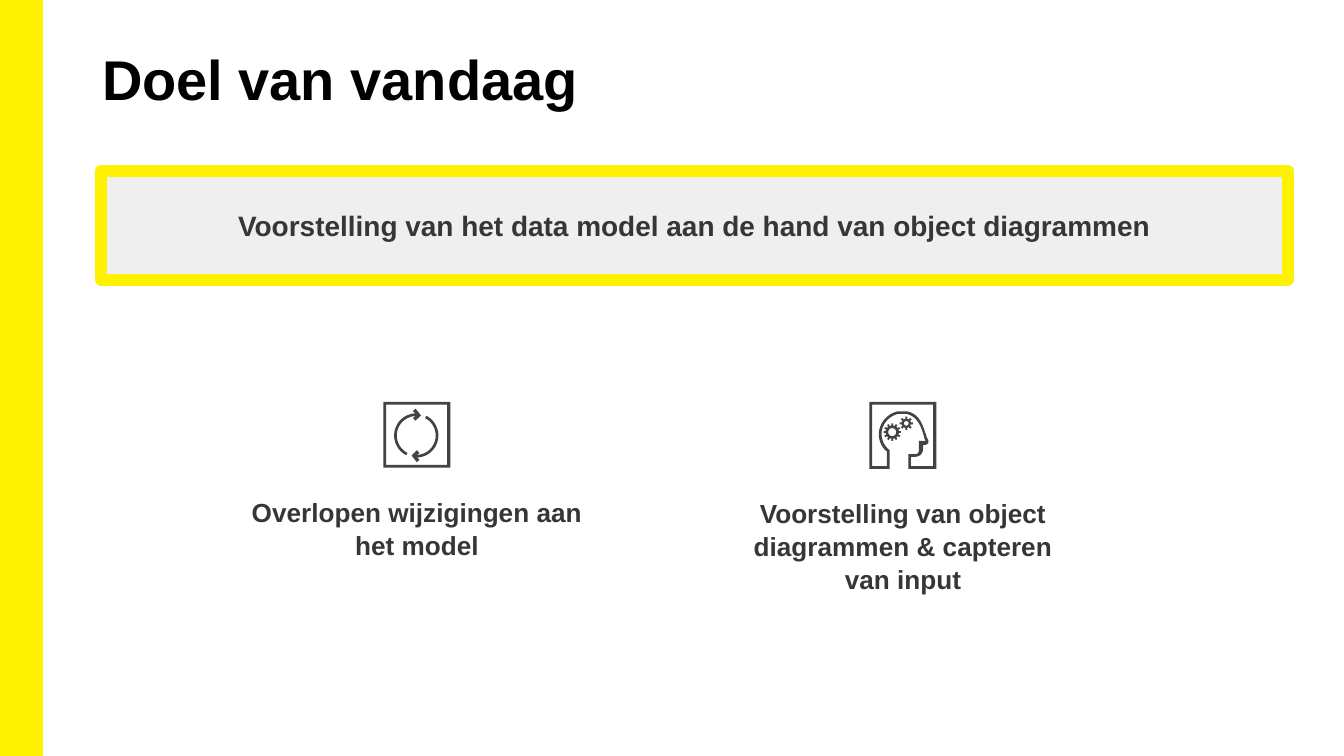
import math

import pptx
import pptx.dml.color
import pptx.enum.shapes
import pptx.enum.text
import pptx.util

ALIGN = pptx.enum.text.PP_ALIGN
ANCHOR = pptx.enum.text.MSO_ANCHOR
RECT = pptx.enum.shapes.MSO_SHAPE.RECTANGLE
PX = 914400 / 134.4

THEME = {
    "font": "Arial",
    "black": "000000", "text": "373636", "icon": "434343",
    "yellow": "FFF200", "panel": "EFEFEF",
    "title": 30, "goal": 15, "caption": 14,
}

# Boxes are left, top, width, height in px
SLIDE = (1344, 756)
SIDEBAR = (0, 0, 42, 756)
TITLE = ("Doel van vandaag", (93, 40, 1159, 109))
GOAL = ("Voorstelling van het data model aan de hand van object diagrammen",
        (101, 171, 1187, 109))
TOPICS = [
    {"text": "Overlopen wijzigingen aan het model",
     "box": (234, 488, 366, 172), "icon": "cycle"},
    {"text": "Voorstelling van object diagrammen & capteren van input",
     "box": (715, 489, 376, 172), "icon": "head"},
]
ICON_TOP, ICON_SIZE = 402, 67

# Icon outlines on a 100-unit grid: pairs are corners, sixes are Bézier curves
ARROW_HEAD = [(44, 24), (48, 28), (56, 20), (48, 10), (44, 14), (48, 17)]
FRAME = [[(0, 0), (0, 98), (100, 98), (100, 0)],
         [(4, 4), (95, 4), (95, 94), (4, 94)]]
HEAD = [
    [(0, 0), (0, 100), (30, 100), (30, 72), (22, 66, 18, 56, 18, 48),
     (18, 34, 28, 22, 42, 18), (42, 18, 44, 18, 48, 18),
     (54, 18, 56, 18, 56, 18), (72, 22, 78, 38, 82, 54),
     (82, 56, 84, 58, 84, 58), (74, 58), (74, 70), (74, 76, 72, 78, 68, 78),
     (58, 78), (58, 100), (100, 100), (100, 0)],
    [(95, 96), (62, 96), (62, 82), (68, 82), (74, 82, 80, 78, 80, 70),
     (80, 64), (84, 64), (86, 64, 86, 62, 88, 62), (88, 60, 88, 60, 88, 58),
     (88, 56, 86, 54, 86, 54), (80, 36, 76, 18, 56, 14),
     (56, 14, 54, 14, 50, 14), (46, 14, 42, 14, 42, 14),
     (26, 18, 14, 32, 14, 48), (14, 58, 18, 68, 26, 74),
     (26, 96), (4, 96), (4, 4), (95, 4)],
]


def px(n):
    return round(n * PX)


def rgb(name):
    return pptx.dml.color.RGBColor.from_string(THEME[name])


def flatten(outline, steps=8):
    """Replace each Bézier curve by points along it."""
    points = []
    for part in outline:
        if len(part) == 2:
            points.append(part)
            continue
        knots = [points[-1], part[:2], part[2:4], part[4:]]
        for i in range(1, steps + 1):
            t = i / steps
            weights = [math.comb(3, k) * t ** k * (1 - t) ** (3 - k)
                       for k in range(4)]
            points.append(tuple(sum(w * q[axis] for w, q in zip(weights, knots))
                                for axis in (0, 1)))
    return points


def arc(cx, cy, r, start, end, steps=32):
    angles = [math.radians(start + (end - start) * i / steps)
              for i in range(steps + 1)]
    return [(cx + r * math.cos(a), cy + r * math.sin(a)) for a in angles]


def gear(cx, cy, teeth, outer, root, hole):
    pitch = 360 / teeth
    rim = []
    for i in range(teeth):
        mid = i * pitch
        for r, offset in ((root, -0.25), (outer, -0.2), (outer, 0.2), (root, 0.25)):
            rim += arc(cx, cy, r, mid + offset * pitch, 0, 1)[:1]
    return [rim, arc(cx, cy, hole, 0, 360)]


def cycle_icon():
    left = arc(49, 50, 29, 117, 268) + ARROW_HEAD + arc(49, 50, 33, 268, 117)
    right = [(98 - x, 100 - y) for x, y in left]
    return [FRAME, [left], [right]]


def head_icon():
    return [HEAD, gear(34, 45, 12, 13, 10, 6), gear(55, 32, 8, 10, 7, 3.5)]


def paint(sp, fill, line=None, width=1):
    sp.shadow.inherit = False
    sp.fill.solid()
    sp.fill.fore_color.rgb = rgb(fill)
    if line:
        sp.line.color.rgb = rgb(line)
        sp.line.width = pptx.util.Pt(width)
    else:
        sp.line.fill.background()


def add_icon(s, left, top, parts):
    group = s.shapes.add_group_shape()
    unit = px(ICON_SIZE) / 100
    for outlines in parts:
        contours = [[(x * unit, y * unit) for x, y in flatten(o)] for o in outlines]
        builder = group.shapes.build_freeform(*contours[0][0])
        builder.add_line_segments(contours[0][1:])
        for contour in contours[1:]:
            builder.move_to(*contour[0])
            builder.add_line_segments(contour[1:])
        paint(builder.convert_to_shape(px(left), px(top)), "icon")


def write(sp, text, size, color="text", align=ALIGN.CENTER, anchor=ANCHOR.TOP,
          inset=(13, 7), spacing=1.0):
    tf = sp.text_frame
    side, edge = map(px, inset)
    frame = {"word_wrap": True, "auto_size": pptx.enum.text.MSO_AUTO_SIZE.NONE,
             "vertical_anchor": anchor, "margin_left": side, "margin_right": side,
             "margin_top": edge, "margin_bottom": edge}
    for name, value in frame.items():
        setattr(tf, name, value)
    p = tf.paragraphs[0]
    p.alignment, p.line_spacing = align, spacing
    r = p.add_run()
    r.text = text
    font = {"name": THEME["font"], "size": pptx.util.Pt(THEME[size]), "bold": True}
    for name, value in font.items():
        setattr(r.font, name, value)
    r.font.color.rgb = rgb(color)


def main():
    prs = pptx.Presentation()
    prs.slide_width, prs.slide_height = map(px, SLIDE)
    s = prs.slides.add_slide(prs.slide_layouts[5])

    sidebar = s.shapes.add_shape(RECT, *map(px, SIDEBAR))
    paint(sidebar, "yellow", "yellow")

    text, box = TITLE
    title = s.shapes.title
    title.left, title.top, title.width, title.height = map(px, box)
    write(title, text, "title", "black", ALIGN.LEFT, inset=(9, 5))

    text, box = GOAL
    goal = s.shapes.add_shape(RECT, *map(px, box))
    paint(goal, "panel", "yellow", 6)
    write(goal, text, "goal", anchor=ANCHOR.MIDDLE)

    icons = {"cycle": cycle_icon(), "head": head_icon()}
    for topic in TOPICS:
        left, _, width, _ = topic["box"]
        caption = s.shapes.add_textbox(*map(px, topic["box"]))
        write(caption, topic["text"], "caption", spacing=1.05)
        add_icon(s, left + (width - ICON_SIZE) / 2, ICON_TOP, icons[topic["icon"]])

    prs.save("out.pptx")


if __name__ == "__main__":
    main()
